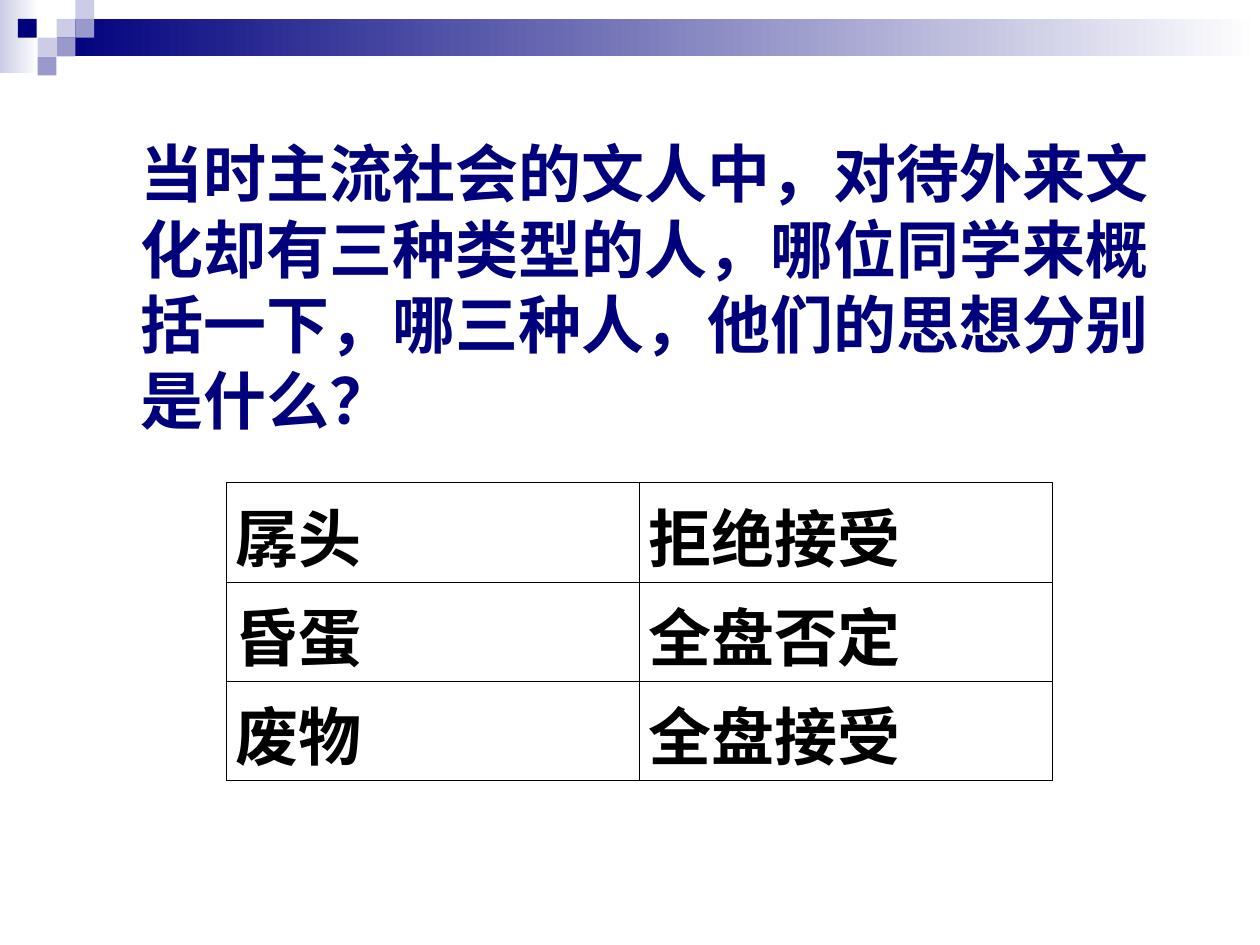
from lxml import etree
from pptx import Presentation
from pptx.dml.color import RGBColor
from pptx.enum.shapes import MSO_SHAPE
from pptx.enum.text import PP_ALIGN
from pptx.oxml.ns import qn
from pptx.util import Cm, Pt

RECTANGLE = MSO_SHAPE.RECTANGLE
JUSTIFY = PP_ALIGN.JUSTIFY

NAVY, MID_BLUE, PALE_BLUE = "00007D", "9999CC", "CCCCE6"
WHITE, BLACK = "FFFFFF", "000000"
TILE = 0.38

QUESTION = (
    "当时主流社会的文人中，对待外来文化却有三种类型的人，"
    "哪位同学来概括一下，哪三种人，他们的思想分别是什么？"
)
ATTITUDES = [("孱头", "拒绝接受"), ("昏蛋", "全盘否定"), ("废物", "全盘接受")]


def color(hex_string):
    return RGBColor.from_string(hex_string)


def style_text(paragraph, font_name, hex_string):
    for run in paragraph.runs:
        run.font.name = font_name
        run.font.size = Pt(36)
        run.font.bold = True
        run.font.color.rgb = color(hex_string)


def add_rectangle(slide, left, top, width, height, fill_color, fade=False):
    """Add a borderless rectangle, fading to white on the right if asked."""
    shape = slide.shapes.add_shape(
        RECTANGLE, Cm(left), Cm(top), Cm(width), Cm(height))
    shape.shadow.inherit = False
    shape.line.fill.background()
    if fade:
        shape.fill.gradient()
        shape.fill.gradient_angle = 0
        for stop, hex_string in zip(shape.fill.gradient_stops, (fill_color, WHITE)):
            stop.color.rgb = color(hex_string)
    else:
        shape.fill.solid()
        shape.fill.fore_color.rgb = color(fill_color)


def add_header(slide, left, top, width):
    """Draw the fading bar and the mosaic of tiles at its left end."""
    bar_left = 3 * TILE
    add_rectangle(slide, left, top, 0.79, 1.47, PALE_BLUE, fade=True)
    add_rectangle(slide, left + bar_left, top + TILE, width - bar_left,
                  2 * TILE, NAVY, fade=True)
    tiles = [
        (3, 1, PALE_BLUE), (4, 0, PALE_BLUE), (4, 1, MID_BLUE),
        (2, 2, PALE_BLUE), (0.95, 1, NAVY), (3, 2, MID_BLUE), (2, 3, MID_BLUE),
    ]
    for column, row, fill_color in tiles:
        add_rectangle(slide, left + column * TILE, top + row * TILE,
                      TILE, TILE, fill_color)


def add_question(slide, left, top, width, height):
    text_box = slide.shapes.add_textbox(Cm(left), Cm(top), Cm(width), Cm(height))
    text_frame = text_box.text_frame
    text_frame.word_wrap = True
    text_frame.text = QUESTION
    style_text(text_frame.paragraphs[0], "Arial", NAVY)


def add_cell_borders(cell):
    properties = cell._tc.get_or_add_tcPr()
    for index, side in enumerate(("a:lnL", "a:lnR", "a:lnT", "a:lnB")):
        line = etree.Element(qn(side), w=str(Pt(0.45)))
        fill = etree.SubElement(line, qn("a:solidFill"))
        etree.SubElement(fill, qn("a:srgbClr"), val=BLACK)
        properties.insert(index, line)


def add_attitude_table(slide, left, top, width, height):
    frame = slide.shapes.add_table(
        len(ATTITUDES), len(ATTITUDES[0]),
        Cm(left), Cm(top), Cm(width), Cm(height))
    table = frame.table
    table.first_row = False
    table.horz_banding = False
    for row, texts in enumerate(ATTITUDES):
        for column, text in enumerate(texts):
            cell = table.cell(row, column)
            cell.margin_left = cell.margin_right = Cm(0.18)
            cell.fill.background()
            cell.text_frame.text = text
            paragraph = cell.text_frame.paragraphs[0]
            paragraph.alignment = JUSTIFY
            style_text(paragraph, "Times New Roman", BLACK)
            add_cell_borders(cell)


def main():
    presentation = Presentation()
    presentation.slide_width = Cm(25.4)
    presentation.slide_height = Cm(19.05)
    slide = presentation.slides.add_slide(presentation.slide_layouts[6])
    add_header(slide, 0, 0, 25.4)
    add_question(slide, 2.59, 2.59, 21.64, 6.35)
    add_attitude_table(slide, 4.57, 9.73, 16.64, 6)
    presentation.save("out.pptx")


if __name__ == "__main__":
    main()
